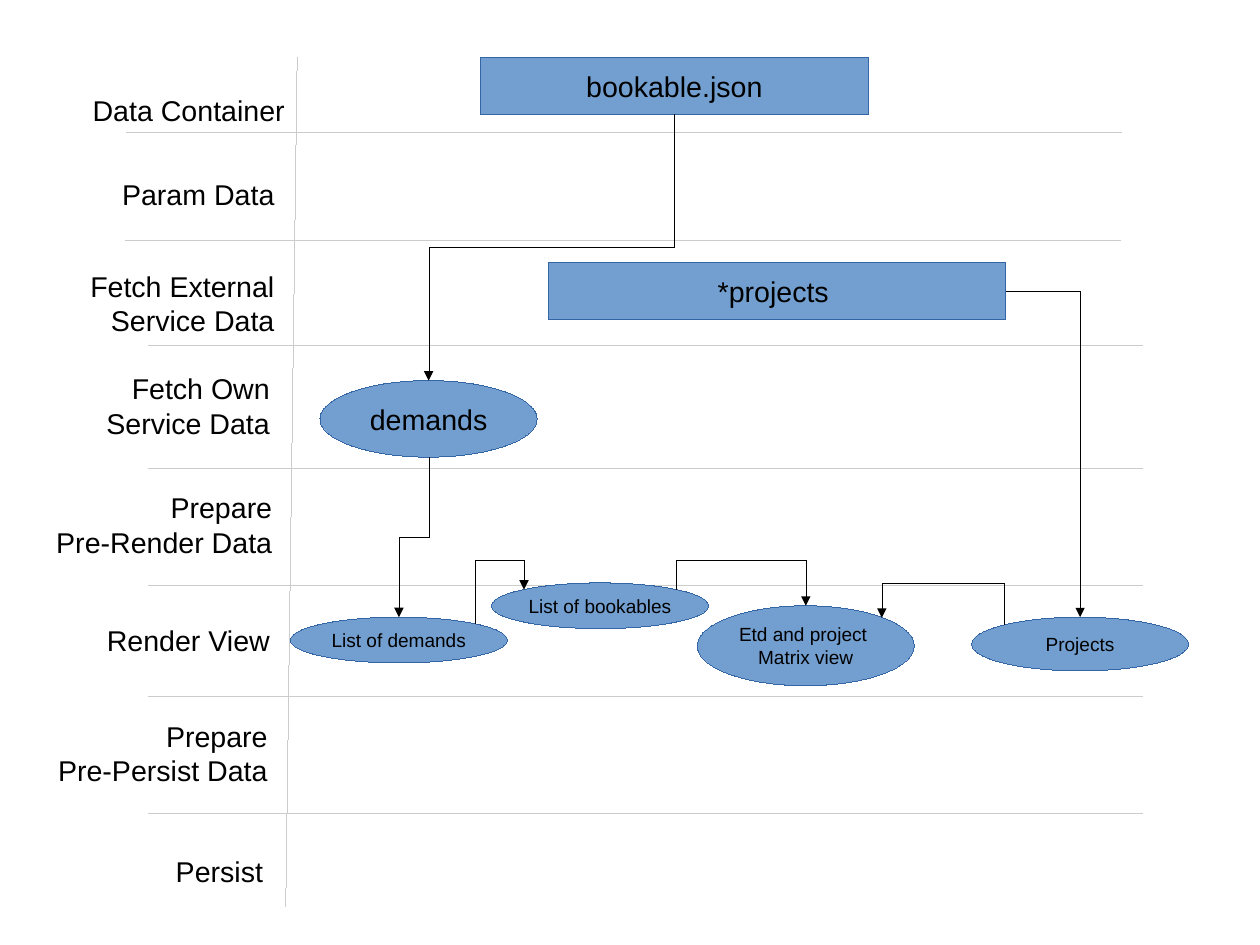
from lxml.etree import SubElement
from pptx import Presentation
from pptx.dml.color import RGBColor
from pptx.enum.shapes import MSO_CONNECTOR as Connector, MSO_SHAPE as Preset
from pptx.enum.text import MSO_ANCHOR as Anchor, PP_ALIGN as Align
from pptx.oxml.ns import qn
from pptx.util import Cm, Inches, Pt

SLIDE_SIZE = (Cm(28), Cm(21))
COLORS = {"fill": "729FCF", "outline": "3465A4", "grid": "CCCCCC", "ink": "000000"}
FONT = "Arial"

# label, right edge, top
STAGES = [
    ("Data Container", 2.59, 0.76),
    ("Param Data", 2.5, 1.5),
    ("Fetch External\nService Data", 2.5, 2.3),
    ("Fetch Own\nService Data", 2.46, 3.2),
    ("Prepare\nPre-Render Data", 2.48, 4.24),
    ("Render View", 2.46, 5.4),
    ("Prepare\nPre-Persist Data", 2.44, 6.24),
    ("Persist", 2.4, 7.42),
]
LABEL_WIDTH = 2.2

# left, height on the slide
DIVIDERS = [(1.11, 1.16), (1.1, 2.1), (1.3, 3.02), (1.3, 4.1),
            (1.3, 5.12), (1.3, 6.09), (1.3, 7.12)]
DIVIDER_WIDTH = 8.7
STAGE_AXIS = (2.6, 0.5, 2.5, 7.93)

# key: preset, text, size, left, top, width, height
NODES = {
    "bookable": (Preset.RECTANGLE, "bookable.json", 18, 4.2, 0.5, 3.4, 0.5),
    "all projects": (Preset.RECTANGLE, "*projects ", 18, 4.8, 2.3, 4, 0.5),
    "demands": (Preset.OVAL, "demands", 18, 2.8, 3.33, 1.9, 0.67),
    "demand list": (Preset.OVAL, "List of demands", 12, 2.54, 5.4, 1.9, 0.4),
    "bookable list": (Preset.OVAL, "List of bookables", 12, 4.3, 5.1, 1.9, 0.4),
    "matrix": (Preset.OVAL, "Etd and project \nMatrix view", 12, 6.1, 5.3, 1.9, 0.7),
    "projects": (Preset.OVAL, "Projects", 12, 8.5, 5.4, 1.9, 0.47),
}

# from, side, to, side, height of the crossbar (None: a single corner)
FLOWS = [
    ("bookable", "bottom", "demands", "top", 2.16),
    ("all projects", "right", "projects", "top", None),
    ("demands", "bottom", "demand list", "top", 4.7),
    ("demand list", "top right", "bookable list", "top left", 4.9),
    ("bookable list", "top right", "matrix", "top", 4.9),
    ("projects", "top left", "matrix", "top right", 5.1),
]

# side: share of width, share of height
SITES = {"top": (0.5, 0), "bottom": (0.5, 1), "right": (1, 0.5),
         "top left": (0.15, 0.15), "top right": (0.85, 0.15)}
SITE_NUMBERS = {
    Preset.RECTANGLE: {"top": 0, "bottom": 2, "right": 3},
    Preset.OVAL: {"top": 0, "top left": 1, "bottom": 4, "right": 6, "top right": 7},
}


def color(name):
    return RGBColor.from_string(COLORS[name])


def write(frame, text, size, align):
    frame.text = text
    for paragraph in frame.paragraphs:
        paragraph.alignment = align
        paragraph.font.name = FONT
        paragraph.font.size = Pt(size)
        paragraph.font.color.rgb = color("ink")


def set_hairline(part, line_color):
    """Drops the theme style, whose line would replace a zero width."""
    part._element.remove(part._element.find(qn("p:style")))
    part.line.color.rgb = color(line_color)
    part.line.width = Pt(0)


def add_line(shapes, kind, ends, line_color):
    line = shapes.add_connector(kind, *map(Inches, ends))
    set_hairline(line, line_color)
    SubElement(line._element.spPr, qn("a:effectLst"))
    return line


def add_stage(shapes, label, right, top):
    height = 0.38 + 0.28 * label.count("\n")
    box = shapes.add_textbox(*map(Inches, (right - LABEL_WIDTH, top, LABEL_WIDTH, height)))
    box.text_frame.word_wrap = True
    write(box.text_frame, label, 18, Align.RIGHT)


def add_node(shapes, preset, text, size, *place):
    node = shapes.add_shape(preset, *map(Inches, place))
    node.shadow.inherit = False
    node.fill.solid()
    node.fill.fore_color.rgb = color("fill")
    set_hairline(node, "outline")
    node.text_frame.word_wrap = False
    node.text_frame.vertical_anchor = Anchor.MIDDLE
    write(node.text_frame, text, size, Align.CENTER)
    return node


def site(key, side):
    left, top, width, height = NODES[key][3:]
    across, down = SITES[side]
    return left + across * width, top + down * height


def add_flow(shapes, nodes, source, source_side, target, target_side, crossbar):
    """Joins two nodes; a flow with a crossbar leaves and arrives vertically."""
    x1, y1 = site(source, source_side)
    x2, y2 = site(target, target_side)
    if crossbar is None:
        box = (x1, y1, x2, y2)
    else:
        # A turned connector keeps its centre and swaps width with height.
        middle_x, middle_y = (x1 + x2) / 2, (y1 + y2) / 2
        half_x, half_y = abs(y2 - y1) / 2, abs(x2 - x1) / 2
        box = (middle_x - half_x, middle_y - half_y, middle_x + half_x, middle_y + half_y)
    flow = add_line(shapes, Connector.ELBOW, box, "ink")
    properties = flow._element.spPr
    geometry = properties.find(qn("a:prstGeom"))
    if crossbar is None:
        geometry.set("prst", "bentConnector2")
    else:
        down, right = y2 > y1, x2 > x1
        quarter_turn = down != right
        frame = properties.find(qn("a:xfrm"))
        frame.set("rot", str((90 if quarter_turn else 270) * 60000))
        frame.set("flipH", str(int(down != quarter_turn)))
        frame.set("flipV", str(int(right == quarter_turn)))
        bend = round((crossbar - y1) / (y2 - y1) * 100000)
        SubElement(geometry.find(qn("a:avLst")), qn("a:gd"), name="adj1", fmla=f"val {bend}")
    SubElement(properties.find(qn("a:ln")), qn("a:tailEnd"), type="triangle")

    joints = flow._element.find(qn("p:nvCxnSpPr")).find(qn("p:cNvCxnSpPr"))
    for tag, key, side in (("a:stCxn", source, source_side), ("a:endCxn", target, target_side)):
        number = SITE_NUMBERS[NODES[key][0]][side]
        SubElement(joints, qn(tag), id=str(nodes[key].shape_id), idx=str(number))


def main():
    deck = Presentation()
    deck.slide_width, deck.slide_height = SLIDE_SIZE
    shapes = deck.slides.add_slide(deck.slide_layouts[6]).shapes

    for left, y in DIVIDERS:
        add_line(shapes, Connector.STRAIGHT, (left, y, left + DIVIDER_WIDTH, y), "grid")
    add_line(shapes, Connector.STRAIGHT, STAGE_AXIS, "grid")
    for stage in STAGES:
        add_stage(shapes, *stage)
    nodes = {key: add_node(shapes, *node) for key, node in NODES.items()}
    for flow in FLOWS:
        add_flow(shapes, nodes, *flow)
    deck.save("out.pptx")


if __name__ == "__main__":
    main()
